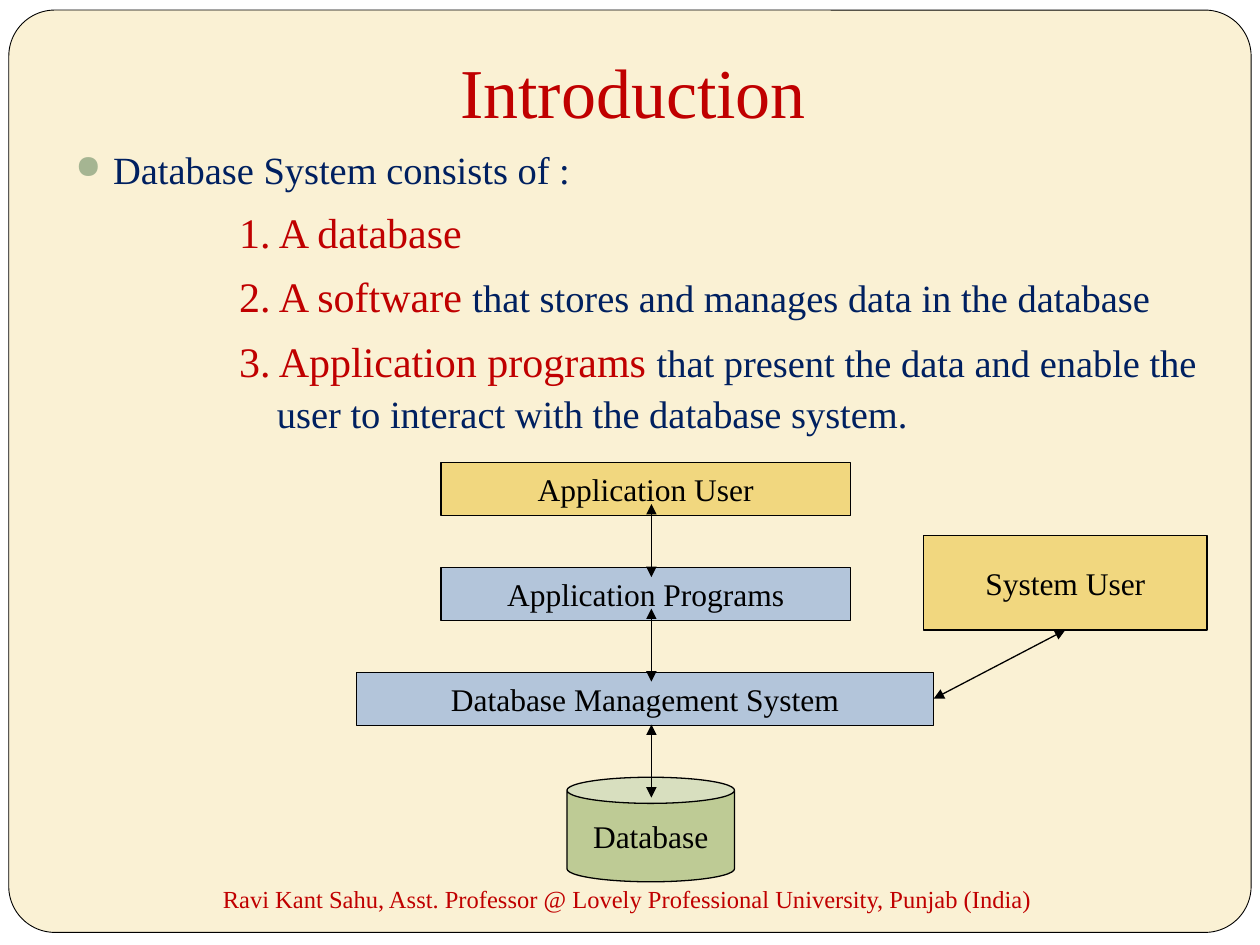
from lxml import etree
from pptx import Presentation
from pptx.dml.color import RGBColor
from pptx.enum.shapes import MSO_CONNECTOR, MSO_SHAPE
from pptx.enum.text import MSO_ANCHOR, PP_ALIGN
from pptx.oxml.ns import qn
from pptx.util import Inches, Pt

RECT, ROUNDED, CAN = MSO_SHAPE.RECTANGLE, MSO_SHAPE.ROUNDED_RECTANGLE, MSO_SHAPE.CAN
STRAIGHT = MSO_CONNECTOR.STRAIGHT
LEFT, CENTER = PP_ALIGN.LEFT, PP_ALIGN.CENTER
MIDDLE, BOTTOM, TOP = MSO_ANCHOR.MIDDLE, MSO_ANCHOR.BOTTOM, MSO_ANCHOR.TOP
SIDE_BOTTOM, SIDE_RIGHT = 2, 3

THEME = {
    "font": "Times New Roman",
    "card": "FAF1D4", "red": "C00000", "navy": "002060", "black": "000000",
    "bullet": "A5B592", "user": "F1D77F", "software": "B3C5DA", "store": "BECB95",
    "title_size": 40, "term_size": 24, "body_size": 22, "box_size": 18, "footer_size": 14,
}

TITLE = "Introduction"
LEAD = "Database System consists of :"
PARTS = [
    ("1. A database", ""),
    ("2. A software ", "that stores and manages data in the database"),
    ("3. Application programs ",
     "that present the data and enable the user to interact with the database system."),
]
FOOTER = "Ravi Kant Sahu, Asst. Professor @ Lovely Professional University, Punjab (India)"

# Layers from top to bottom: text, shape, colour, left, width, height
LAYERS = [
    ("Application User", RECT, "user", 3.5, 3.25, 0.42),
    ("Application Programs", RECT, "software", 3.5, 3.25, 0.42),
    ("Database Management System", RECT, "software", 2.83, 4.58, 0.42),
    ("Database", CAN, "store", 4.5, 1.33, 0.83),
]
LAYER_TOP, LAYER_STEP = 3.67, 0.833
SYSTEM_USER = ("System User", RECT, "user", 7.33, 2.25, 0.75)
SYSTEM_USER_TOP = 4.25
ARROW_X, ARROW_LENGTH = 5.17, 0.58
ARROW_TOPS = [4, 4.83, 5.75]


def color(name):
    return RGBColor.from_string(THEME[name])


def write(paragraph, *pieces, align=LEFT, before=0, spacing=None):
    """Fill a paragraph with (text, size name, colour name) pieces."""
    paragraph.alignment = align
    paragraph.space_before = Pt(before)
    if spacing:
        paragraph.line_spacing = spacing
    for text, size, ink in pieces:
        run = paragraph.add_run()
        run.text = text
        run.font.name = THEME["font"]
        run.font.size = Pt(THEME[size])
        run.font.color.rgb = color(ink)


def set_frame(frame, anchor, wrap=True, bottom=0.05):
    frame.word_wrap = wrap
    frame.vertical_anchor = anchor
    frame.margin_left = frame.margin_right = Inches(0.1)
    frame.margin_top, frame.margin_bottom = Inches(0.05), Inches(bottom)


def indent(paragraph, left, hanging, bullet=None):
    properties = paragraph._p.get_or_add_pPr()
    properties.set("marL", str(Inches(left)))
    properties.set("indent", str(-Inches(hanging)))
    if bullet:
        bullet_color = etree.SubElement(properties, qn("a:buClr"))
        etree.SubElement(bullet_color, qn("a:srgbClr"), val=THEME["bullet"])
        etree.SubElement(properties, qn("a:buSzPct"), val="85000")
        etree.SubElement(properties, qn("a:buChar"), char=bullet)


def add_filled(slide, kind, fill, left, top, width, height, line_width=0.75):
    shape = slide.shapes.add_shape(
        kind, Inches(left), Inches(top), Inches(width), Inches(height))
    shape.shadow.inherit = False
    shape.fill.solid()
    shape.fill.fore_color.rgb = color(fill)
    shape.line.color.rgb = color("black")
    shape.line.width = Pt(line_width)
    return shape


def add_box(slide, box, top):
    label, kind, fill, left, width, height = box
    shape = add_filled(slide, kind, fill, left, top, width, height)
    set_frame(shape.text_frame, MIDDLE, wrap=False)
    write(shape.text_frame.paragraphs[0], (label, "box_size", "black"), align=CENTER)
    return shape


def add_double_arrow(slide, x=0, top=0, length=0):
    arrow = slide.shapes.add_connector(
        STRAIGHT, Inches(x), Inches(top), Inches(x), Inches(top + length))
    arrow.line.color.rgb = color("black")
    arrow.line.width = Pt(0.75)
    line = arrow.line._get_or_add_ln()
    for end in ("a:headEnd", "a:tailEnd"):
        etree.SubElement(line, qn(end), type="triangle")
    etree.SubElement(arrow._element.spPr, qn("a:effectLst"))
    return arrow


def add_text_area(slide, left, top, width, height, anchor):
    area = slide.shapes.add_textbox(
        Inches(left), Inches(top), Inches(width), Inches(height))
    set_frame(area.text_frame, anchor)
    return area.text_frame


def add_title(slide):
    title = slide.shapes.title
    title.left, title.top = Inches(0.55), Inches(0)
    title.width, title.height = Inches(8.95), Inches(1.15)
    set_frame(title.text_frame, BOTTOM, bottom=0.1)
    write(title.text_frame.paragraphs[0], (TITLE, "title_size", "red"), align=CENTER)


def add_body(slide):
    body = add_text_area(slide, 0.5, 1.08, 9.17, 2.4, TOP)
    lead = body.paragraphs[0]
    write(lead, (LEAD, "body_size", "navy"), spacing=1.08)
    indent(lead, 0.3, 0.3, bullet="●")
    for term, detail in PARTS:
        pieces = [(term, "term_size", "red")]
        if detail:
            pieces.append((detail, "body_size", "navy"))
        part = body.add_paragraph()
        write(part, *pieces, before=5.8, spacing=1.08)
        indent(part, 1.6, 0.3)


def add_diagram(slide):
    layers = {box[0]: add_box(slide, box, LAYER_TOP + row * LAYER_STEP)
              for row, box in enumerate(LAYERS)}
    system_user = add_box(slide, SYSTEM_USER, SYSTEM_USER_TOP)
    for top in ARROW_TOPS:
        add_double_arrow(slide, ARROW_X, top, ARROW_LENGTH)
    system_link = add_double_arrow(slide)
    system_link.begin_connect(layers["Database Management System"], SIDE_RIGHT)
    system_link.end_connect(system_user, SIDE_BOTTOM)


def main():
    deck = Presentation()
    deck.slide_width, deck.slide_height = Inches(10), Inches(7.5)
    slide = deck.slides.add_slide(deck.slide_layouts[5])
    card = add_filled(slide, ROUNDED, "card", 0.07, 0.08, 9.86, 7.32, line_width=0.5)
    card.adjustments[0] = 0.05
    slide.shapes._spTree.insert(2, card._element)  # behind the title
    add_title(slide)
    add_body(slide)
    add_diagram(slide)
    footer = add_text_area(slide, 0.83, 6.93, 8.3, 0.4, MIDDLE)
    write(footer.paragraphs[0], (FOOTER, "footer_size", "red"), align=CENTER)
    deck.save("out.pptx")


if __name__ == "__main__":
    main()
